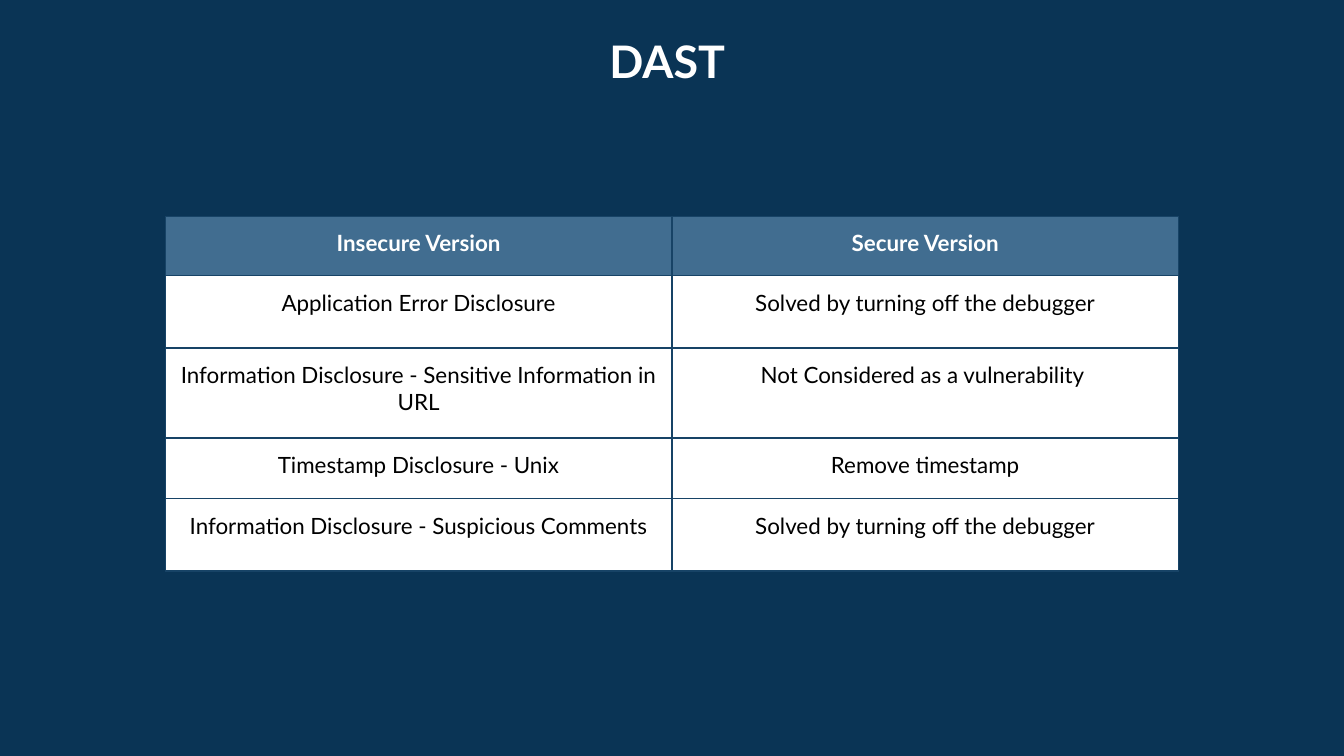
from lxml import etree
from pptx import Presentation
from pptx import util as u
from pptx.dml.color import RGBColor
from pptx.enum import text
from pptx.oxml import ns

NAVY = RGBColor(0x0A, 0x34, 0x55)
STEEL = RGBColor(0x41, 0x6D, 0x90)
BORDER = RGBColor(0x17, 0x43, 0x66)
WHITE = RGBColor(0xFF, 0xFF, 0xFF)
BLACK = RGBColor(0x00, 0x00, 0x00)

FONT = "Lato"
SLIDE_WIDTH = u.Inches(10)
SLIDE_HEIGHT = SLIDE_WIDTH * 9 // 16
INSET = u.Inches(0.1)
COLUMN_WIDTH = u.Inches(3.77)
ROW_HEIGHTS = [0.44, 0.54, 0.67, 0.45, 0.54]

FINDINGS = [
    ("Insecure Version", "Secure Version"),
    ("Application Error Disclosure", "Solved by turning off the debugger"),
    ("Information Disclosure - Sensitive Information in URL",
     "Not Considered as a vulnerability "),
    ("Timestamp Disclosure - Unix", "Remove timestamp"),
    ("Information Disclosure - Suspicious Comments",
     "Solved by turning off the debugger"),
]


def write_centred(frame, words, size, color, bold):
    frame.text = words
    frame.word_wrap = True
    paragraph = frame.paragraphs[0]
    paragraph.alignment = text.PP_ALIGN.CENTER
    paragraph.line_spacing = 1.0
    paragraph.space_before = u.Pt(0)
    for run in paragraph.runs:
        run.font.name = FONT
        run.font.size = u.Pt(size)
        run.font.bold = bold
        run.font.color.rgb = color


def set_insets(holder):
    holder.margin_left = holder.margin_right = INSET
    holder.margin_top = holder.margin_bottom = INSET


def add_borders(cell):
    properties = cell._tc.get_or_add_tcPr()
    for side in ("a:lnL", "a:lnR", "a:lnT", "a:lnB"):
        line = etree.SubElement(properties, ns.qn(side), w=str(u.Pt(0.75)))
        fill = etree.SubElement(line, ns.qn("a:solidFill"))
        etree.SubElement(fill, ns.qn("a:srgbClr"), val=str(BORDER))


def place_title(slide, words):
    title = slide.shapes.title
    title.left, title.top = u.Inches(2.15), u.Inches(0.15)
    title.width, title.height = u.Inches(5.7), u.Inches(1.03)
    frame = title.text_frame
    write_centred(frame, words, 24, WHITE, True)
    set_insets(frame)
    frame.auto_size = text.MSO_AUTO_SIZE.NONE
    frame.vertical_anchor = text.MSO_ANCHOR.TOP


def add_findings_table(slide):
    width = COLUMN_WIDTH * len(FINDINGS[0])
    left = (SLIDE_WIDTH - width) // 2
    table = slide.shapes.add_table(
        len(FINDINGS), len(FINDINGS[0]), left, u.Inches(1.61),
        width, u.Inches(sum(ROW_HEIGHTS))).table
    for column in table.columns:
        column.width = COLUMN_WIDTH
    for index, (findings, height) in enumerate(zip(FINDINGS, ROW_HEIGHTS)):
        table.rows[index].height = u.Inches(height)
        is_header = index == 0
        for cell, words in zip(table.rows[index].cells, findings):
            write_centred(cell.text_frame, words, 12,
                          WHITE if is_header else BLACK, is_header)
            set_insets(cell)
            cell.vertical_anchor = text.MSO_ANCHOR.TOP
            add_borders(cell)
            cell.fill.solid()
            cell.fill.fore_color.rgb = STEEL if is_header else WHITE


def main():
    deck = Presentation()
    deck.slide_width, deck.slide_height = SLIDE_WIDTH, SLIDE_HEIGHT
    slide = deck.slides.add_slide(deck.slide_layouts.get_by_name("Title Only"))
    slide.background.fill.solid()
    slide.background.fill.fore_color.rgb = NAVY
    place_title(slide, "DAST ")
    add_findings_table(slide)
    deck.save("out.pptx")


if __name__ == "__main__":
    main()
